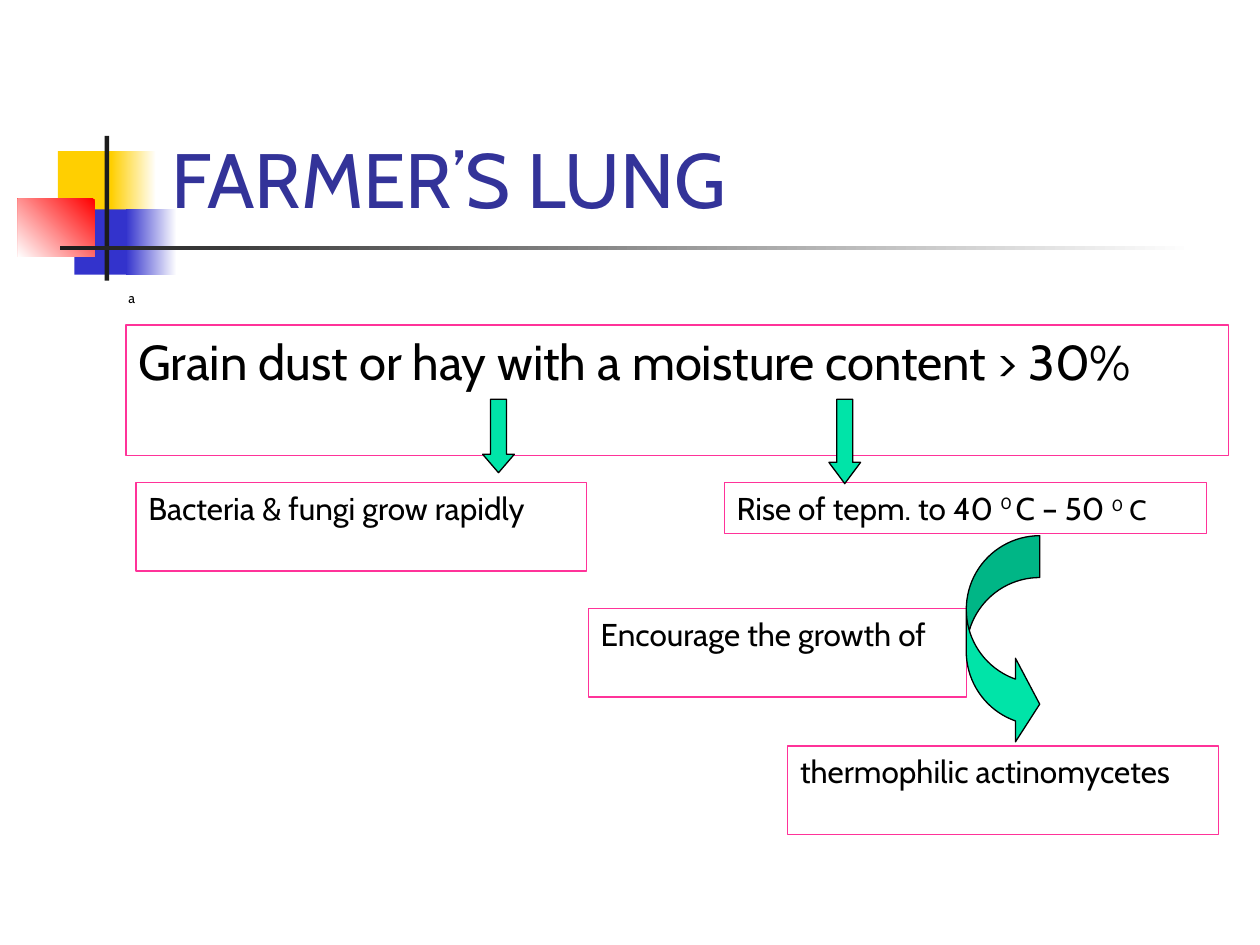
from typing import NamedTuple, Optional

from pptx import Presentation
from pptx import util as u
from pptx.dml.color import RGBColor
from pptx.enum import shapes, text

FONT = "Cabin"
BLACK, PINK, GREEN = "000000", "FF3399", "00E4A8"
KIND = shapes.MSO_SHAPE


class Area(NamedTuple):
    """Left, top, width and height in centimetres."""
    x: float
    y: float
    w: float
    h: float


class Block(NamedTuple):
    area: Area
    color: str
    fade: Optional[str] = None
    angle: int = 180


class Run(NamedTuple):
    text: str
    size: int = 18
    raised: int = 0  # percent above the baseline


class Box(NamedTuple):
    area: Area
    runs: list[Run]
    before: float = 11.2


class Arrow(NamedTuple):
    kind: KIND
    area: Area
    adjust: list[float]


# Corner ornament and rule; a fading block runs from fade to color
BLOCKS = [
    Block(Area(1.17, 3.05, 1.22, 1.32), "FFCF01"),
    Block(Area(2.24, 3.05, 0.91, 1.32), "FFCF01", "FFFFFF"),
    Block(Area(1.5, 4.22, 1.17, 1.32), "3333CC"),
    Block(Area(2.54, 4.22, 1.02, 1.32), "3333CC", "FFFFFF"),
    Block(Area(0.36, 4.01, 1.55, 1.17), "FFFFFF", "FF0000", 225),
    Block(Area(2.11, 2.74, 0.09, 2.92), "1C1C1C"),
    Block(Area(1.22, 4.95, 22.86, 0.09), "1C1C1C", "FFFFFF"),
]

BOXES = [
    Box(Area(2.54, 6.55, 22.22, 2.64),
        [Run("Grain dust or hay with a moisture content > 30%", 28)], 17.5),
    Box(Area(2.74, 9.73, 9.09, 1.78), [Run("Bacteria & fungi grow rapidly")]),
    Box(Area(14.6, 9.73, 9.73, 1.02),
        [Run("Rise of tepm. to 40 "), Run("0 ", 16, 40), Run("C – 50 "),
         Run("0", 16, 30), Run(" C", 16)], 10),
    Box(Area(11.86, 12.27, 7.62, 1.78), [Run("Encourage the growth of")]),
    Box(Area(15.88, 15.04, 8.69, 1.78), [Run("thermophilic actinomycetes")]),
]

ARROWS = [
    Arrow(KIND.CURVED_RIGHT_ARROW, Area(19.48, 10.8, 1.48, 4.24),
          [0.57, 1.14, 0.33]),
    Arrow(KIND.DOWN_ARROW, Area(9.73, 8.05, 0.64, 1.48), [0.5, 0.58]),
    Arrow(KIND.DOWN_ARROW, Area(16.71, 8.05, 0.64, 1.7), [0.5, 0.67]),
]


def paint(target, color: str) -> None:
    target.rgb = RGBColor.from_string(color)


def place(area: Area) -> list[u.Length]:
    return [u.Cm(v) for v in area]


def add_form(slide, kind, area: Area, fill: Optional[str] = None,
             line: Optional[str] = None):
    form = slide.shapes.add_shape(kind, *place(area))
    form.shadow.inherit = False
    if fill:
        form.fill.solid()
        paint(form.fill.fore_color, fill)
    else:
        form.fill.background()
    if line:
        paint(form.line.color, line)
        form.line.width = u.Pt(0.75)
    else:
        form.line.fill.background()
    return form


def write(shape, runs: list[Run], *, color: str = BLACK, before: float = 0,
          anchor=text.MSO_ANCHOR.TOP) -> None:
    frame = shape.text_frame
    frame.word_wrap = True
    frame.vertical_anchor = anchor
    para = frame.paragraphs[0]
    para.alignment = text.PP_ALIGN.LEFT
    para.space_before = u.Pt(before)
    for part in runs:
        run = para.add_run()
        run.text = part.text
        run.font.name = FONT
        run.font.size = u.Pt(part.size)
        paint(run.font.color, color)
        if part.raised:
            run._r.get_or_add_rPr().set("baseline", str(part.raised * 1000))


def add_block(slide, block: Block) -> None:
    form = add_form(slide, KIND.RECTANGLE, block.area, block.color)
    if block.fade:
        form.fill.gradient()
        form.fill.gradient_angle = block.angle
        for stop, color in zip(form.fill.gradient_stops,
                               (block.fade, block.color)):
            paint(stop.color, color)


def add_box(slide, box: Box) -> None:
    form = add_form(slide, KIND.RECTANGLE, box.area, line=PINK)
    write(form, box.runs, before=box.before)


def add_arrow(slide, arrow: Arrow) -> None:
    form = add_form(slide, arrow.kind, arrow.area, GREEN, BLACK)
    for i, value in enumerate(arrow.adjust):
        form.adjustments[i] = value


def main() -> None:
    deck = Presentation()
    deck.slide_width, deck.slide_height = u.Cm(25.4), u.Cm(19.05)
    slide = deck.slides.add_slide(deck.slide_layouts[6])

    for block in BLOCKS:
        add_block(slide, block)

    # Title and small note
    title = slide.shapes.add_textbox(*place(Area(3.2, 0.58, 21.64, 4.06)))
    write(title, [Run("FARMER’S LUNG", 44)], color="333399",
          anchor=text.MSO_ANCHOR.BOTTOM)
    note = slide.shapes.add_textbox(*place(Area(2.34, 5.72, 21.59, 11.43)))
    write(note, [Run("a", 8)], before=2)

    # Flow of causes
    for box in BOXES:
        add_box(slide, box)
    for arrow in ARROWS:
        add_arrow(slide, arrow)

    deck.save("out.pptx")


if __name__ == "__main__":
    main()
